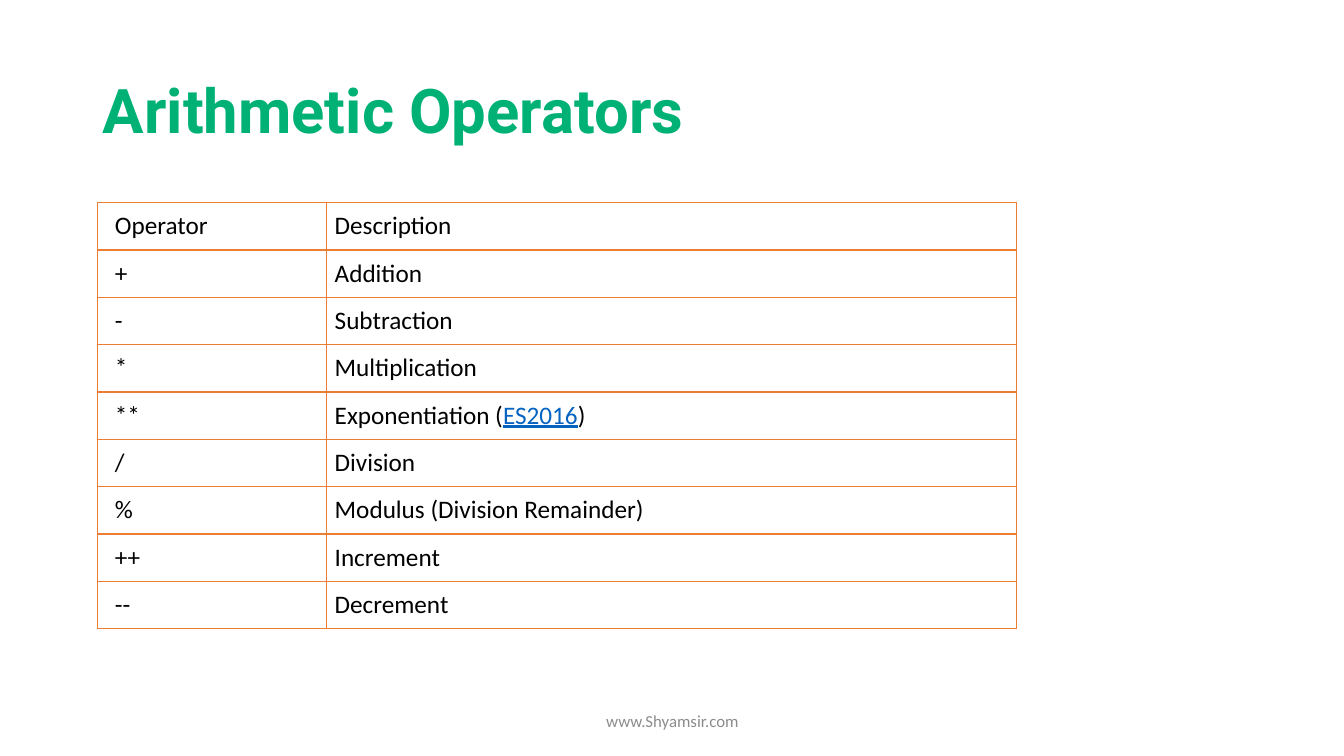
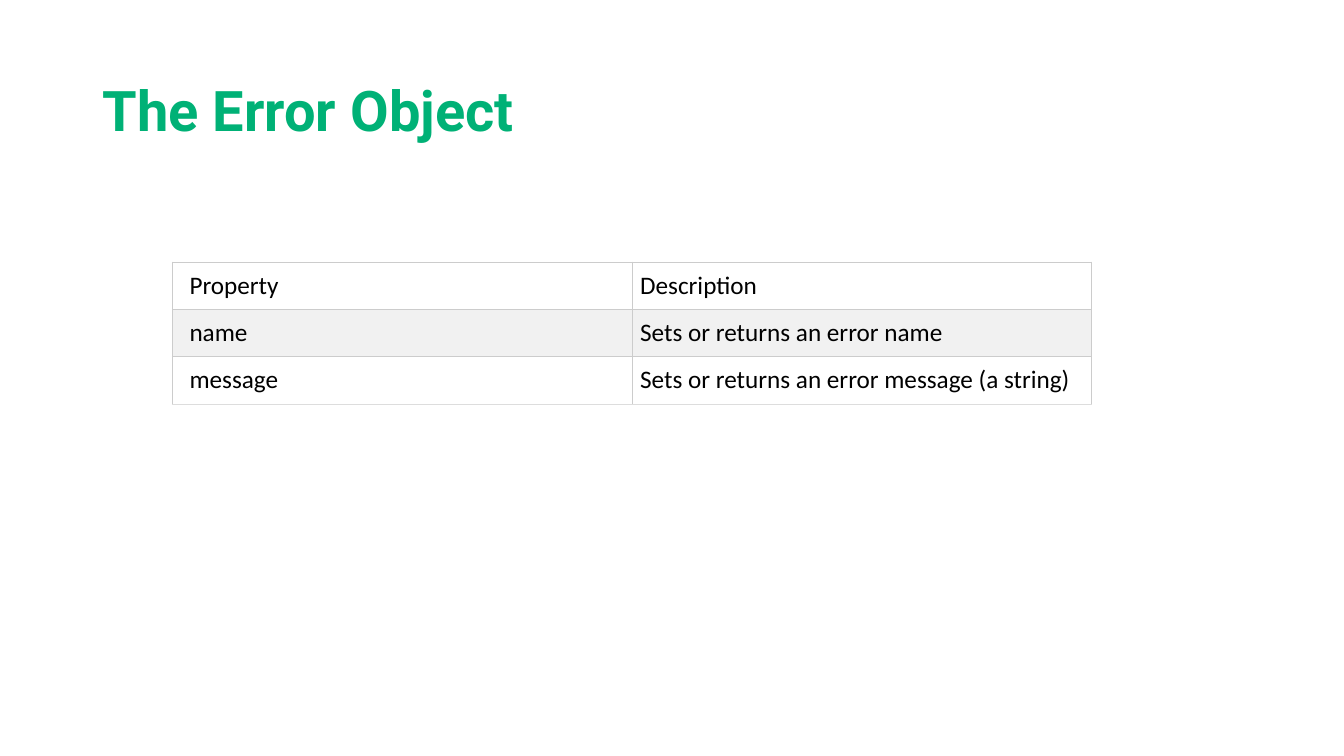
from pptx import Presentation
from pptx.dml.color import RGBColor
from pptx.enum.text import MSO_ANCHOR, MSO_AUTO_SIZE, PP_ALIGN
from pptx.oxml.ns import qn
from pptx.util import Inches, Pt
from lxml import etree

LEFT, CENTER = PP_ALIGN.LEFT, PP_ALIGN.CENTER
MIDDLE, TOP = MSO_ANCHOR.MIDDLE, MSO_ANCHOR.TOP
NO_AUTOFIT = MSO_AUTO_SIZE.NONE

COLORS = {
    "title": "00B176",
    "text": "000000",
    "footer": "8C8C8C",
    "reference": "0563C1",
    "orange": "ED7D31",
    "grid": "CCCCCC",
    "grid_end": "DDDDDD",
    "white": "FFFFFF",
    "band": "F1F1F1",
}
ROW_HEIGHT = 0.47
CELL_INSET = 0.08
FIRST_INSET = 0.17

SLIDES = [
    {
        "title": "Arithmetic Operators",
        "title_size": 44,
        "footer": "www.Shyamsir.com",
        "origin": (0.97, 2.01),
        "columns": (2.27, 6.84),
        "border": ("orange", "orange", 1),
        "fills": None,
        "rows": [
            ("Operator", "Description"),
            ("+", "Addition"),
            ("-", "Subtraction"),
            ("*", "Multiplication"),
            ("**", ("Exponentiation (", "ES2016", ")")),
            ("/", "Division"),
            ("%", "Modulus (Division Remainder)"),
            ("++", "Increment"),
            ("--", "Decrement"),
        ],
    },
    {
        "title": "The Error Object",
        "title_size": 40,
        "footer": None,
        "origin": (1.71, 2.6),
        "columns": (4.56, 4.56),
        "border": ("grid", "grid_end", 0.75),
        "fills": ("white", "band"),
        "rows": [
            ("Property", "Description"),
            ("name", "Sets or returns an error name"),
            ("message", "Sets or returns an error message (a string)"),
        ],
    },
]


def add_run(paragraph, text, size, color, font="Calibri"):
    run = paragraph.add_run()
    run.text = text
    run.font.name = font
    run.font.size = Pt(size)
    run.font.color.rgb = RGBColor.from_string(COLORS[color])
    return run


def add_border(cell, side, color, width):
    line = etree.SubElement(cell._tc.get_or_add_tcPr(), qn(f"a:ln{side}"), w=str(Pt(width)))
    fill = etree.SubElement(line, qn("a:solidFill"))
    etree.SubElement(fill, qn("a:srgbClr"), val=COLORS[color])


prs = Presentation()
prs.slide_width, prs.slide_height = Inches(13.33), Inches(7.5)
title_only = prs.slide_layouts[5]

for content in SLIDES:
    slide = prs.slides.add_slide(title_only)

    title = slide.shapes.title
    title.left, title.top = Inches(0.92), Inches(0.4)
    title.width, title.height = Inches(11.5), Inches(1.45)
    title.text_frame.auto_size = NO_AUTOFIT
    title.text_frame.vertical_anchor = MIDDLE
    heading = title.text_frame.paragraphs[0]
    heading.alignment = LEFT
    heading.line_spacing = 0.9
    add_run(heading, content["title"], content["title_size"], "title", "Roboto").font.bold = True

    if content["footer"]:
        footer = slide.shapes.add_textbox(Inches(4.42), Inches(6.95), Inches(4.5), Inches(0.4))
        footer.text_frame.word_wrap = True
        footer.text_frame.vertical_anchor = MIDDLE
        footer_line = footer.text_frame.paragraphs[0]
        footer_line.alignment = CENTER
        add_run(footer_line, content["footer"], 12, "footer")

    rows, columns = content["rows"], content["columns"]
    left, top = content["origin"]
    table = slide.shapes.add_table(
        len(rows), len(columns), Inches(left), Inches(top),
        Inches(sum(columns)), Inches(ROW_HEIGHT * len(rows)),
    ).table
    table.first_row = False
    table.horz_banding = False
    for column, width in zip(table.columns, columns):
        column.width = Inches(width)

    border, end_border, border_width = content["border"]
    for r, row in enumerate(rows):
        table.rows[r].height = Inches(ROW_HEIGHT)
        for c, entry in enumerate(row):
            cell = table.cell(r, c)
            cell.vertical_anchor = TOP
            cell.margin_left = Inches(CELL_INSET if c else FIRST_INSET)
            cell.margin_right = cell.margin_top = cell.margin_bottom = Inches(CELL_INSET)
            for side in "LRTB":
                at_end = side == "B" and r == len(rows) - 1
                add_border(cell, side, end_border if at_end else border, border_width)
            if content["fills"]:
                cell.fill.solid()
                cell.fill.fore_color.rgb = RGBColor.from_string(COLORS[content["fills"][r % 2]])
            else:
                cell.fill.background()
            parts = (entry,) if isinstance(entry, str) else entry
            for part in parts:
                is_reference = part == "ES2016"
                run = add_run(cell.text_frame.paragraphs[0], part, 18,
                              "reference" if is_reference else "text")
                if is_reference:
                    run.font.underline = True

prs.save("out.pptx")
